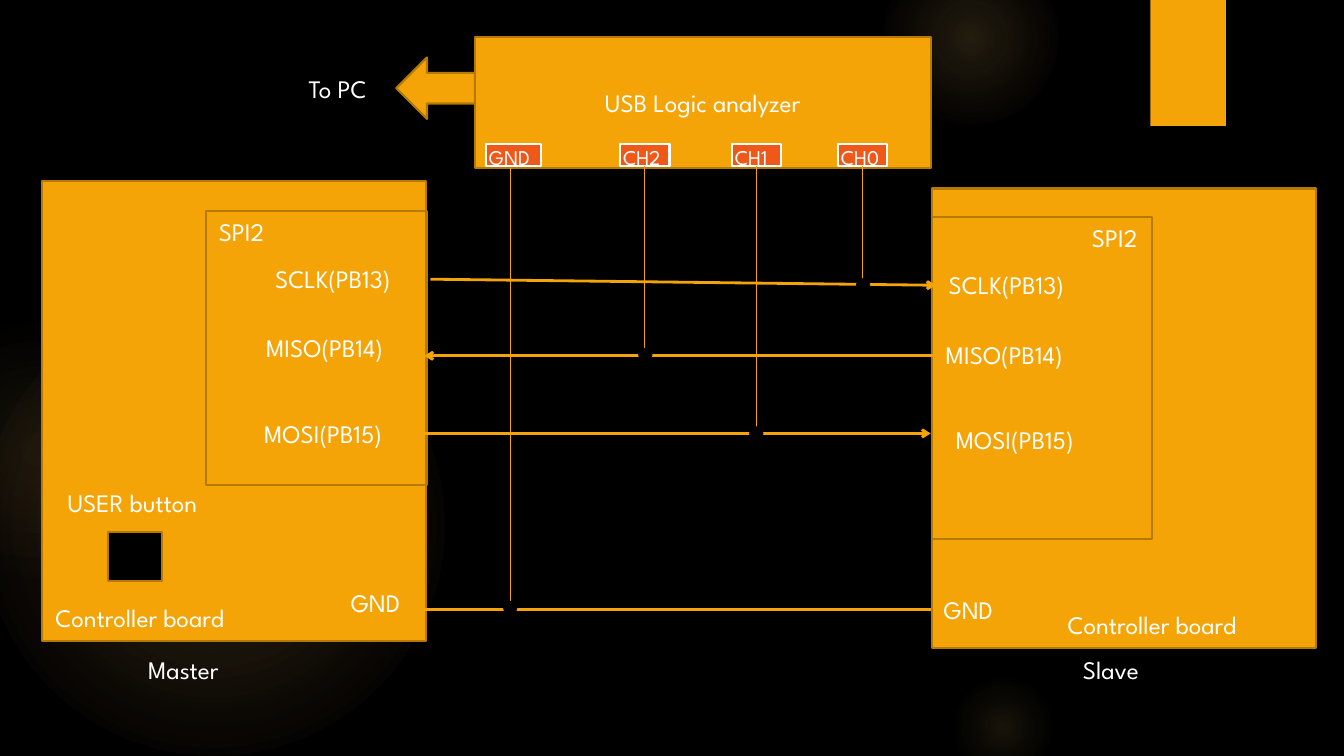
from lxml import etree
from pptx import Presentation
from pptx.dml.color import RGBColor
from pptx.enum import shapes, text
from pptx.oxml import ns
from pptx.util import Inches, Pt

AMBER = RGBColor(0xF5, 0xA4, 0x08)
BROWN = RGBColor(0xB5, 0x79, 0x06)
ORANGE = RGBColor(0xEE, 0x58, 0x18)
WHITE = RGBColor(0xFF, 0xFF, 0xFF)
BLACK = RGBColor(0, 0, 0)
FONT = "League Spartan"
RECT = shapes.MSO_SHAPE.RECTANGLE
OVAL = shapes.MSO_SHAPE.OVAL

# left, top, diameter, (position %, colour, opacity %)
GLOWS = [
    (-0.17, 2.92, 4.58, [(0, "FAC96A", 11), (36, "FAC96A", 10), (75, "FAC96A", 0)]),
    (-0.92, 3.17, 2.58, [(0, "FAC96A", 8), (36, "FAC96A", 5), (71, "F59B74", 0)]),
    (9.41, 1.83, 3.08, [(0, "FAC96A", 7), (36, "FAC96A", 6), (69, "FAC96A", 0)]),
    (8.75, -0.5, 1.75, [(0, "FAC96A", 14), (36, "FAC96A", 7), (73, "FAC96A", 0)]),
    (9.41, 6.67, 1.08, [(0, "FAC96A", 10), (31, "FAC96A", 5), (66, "FAC96A", 0)]),
]
CORNER_TAB = (11.41, 0, 0.75, 1.25)
BOARDS = [  # board, then the SPI2 block on it
    (0.42, 1.8, 3.81, 4.56), (2.04, 2.09, 2.19, 2.72),
    (9.24, 1.87, 3.81, 4.56), (9.24, 2.15, 2.19, 3.2),
]
USER_BUTTON = (1.07, 5.28, 0.54, 0.48)
ANALYZER = (4.71, 0.37, 4.52, 1.3)
PC_ARROW = (3.93, 0.57, 0.78, 0.61)
WIRES = [  # x1, y1, x2, y2, has arrowhead
    (4.21, 6.05, 9.23, 6.05, False),
    (4.21, 4.3, 9.23, 4.3, True),
    (4.27, 2.77, 9.28, 2.83, True),
    (9.25, 3.53, 4.21, 3.53, True),
]
PROBES = [  # label, terminal left, terminal width, lead x, tapped wire y
    ("CH0", 8.31, 0.49, 8.56, 2.83),
    ("CH1", 7.26, 0.49, 7.5, 4.3),
    ("CH2", 6.15, 0.49, 6.4, 3.52),
    ("GND", 4.82, 0.55, 5.06, 6.03),
]
TERMINAL_TOP, TERMINAL_HEIGHT, DOT = 1.43, 0.22, 0.12
LABELS = [  # text, left, top, width
    ("SPI2", 2.04, 2.08, 0.76), ("SPI2", 10.7, 2.14, 0.76),
    ("SCLK(PB13)", 2.6, 2.54, 1.67), ("SCLK(PB13)", 9.28, 2.6, 1.67),
    ("MISO(PB14)", 2.51, 3.23, 1.71), ("MISO(PB14)", 9.25, 3.3, 1.71),
    ("MOSI(PB15)", 2.49, 4.08, 1.71), ("MOSI(PB15)", 9.35, 4.14, 1.71),
    ("GND", 3.35, 5.76, 0.89), ("GND", 9.23, 5.83, 0.89),
    ("Controller board", 0.42, 5.91, 2.59),
    ("Controller board", 10.46, 5.97, 2.59),
    ("USER button", 0.54, 4.76, 1.79),
    ("Master", 1.34, 6.42, 1.13), ("Slave", 10.61, 6.42, 0.95),
    ("To PC", 2.93, 0.66, 0.99),
]


def add_block(s, kind, box, fill=AMBER, line=BROWN):
    sp = s.shapes.add_shape(kind, *map(Inches, box))
    sp.shadow.inherit = False
    sp.fill.solid()
    sp.fill.fore_color.rgb = fill
    if line is None:
        sp.line.fill.background()
    else:
        sp.line.color.rgb = line
        sp.line.width = Pt(1.5)
    return sp


def add_glow(s, left, top, size, stops):
    """Add a circle whose radial gradient fades to transparent."""
    sp = add_block(s, OVAL, (left, top, size, size), line=None)
    grad = etree.Element(ns.qn("a:gradFill"), rotWithShape="1")
    gs_list = etree.SubElement(grad, ns.qn("a:gsLst"))
    for pos, color, alpha in stops:
        gs = etree.SubElement(gs_list, ns.qn("a:gs"), pos=str(pos * 1000))
        clr = etree.SubElement(gs, ns.qn("a:srgbClr"), val=color)
        etree.SubElement(clr, ns.qn("a:alpha"), val=str(alpha * 1000))
    radial = etree.SubElement(grad, ns.qn("a:path"), {"path": "circle"})
    etree.SubElement(radial, ns.qn("a:fillToRect"), l="50000", t="50000", r="50000", b="50000")
    spPr = sp._element.spPr
    spPr.replace(spPr.find(ns.qn("a:solidFill")), grad)


def add_wire(s, x1, y1, x2, y2, width, arrow=False):
    c = s.shapes.add_connector(shapes.MSO_CONNECTOR.STRAIGHT, *map(Inches, (x1, y1, x2, y2)))
    c.line.color.rgb = AMBER
    c.line.width = Pt(width)
    if arrow:
        etree.SubElement(c.line._get_or_add_ln(), ns.qn("a:tailEnd"), type="arrow")
    etree.SubElement(c._element.spPr, ns.qn("a:effectLst"))
    return c


def set_text(sp, words, size):
    tf = sp.text_frame
    tf.text = words
    tf.margin_left = tf.margin_right = Inches(0.13)
    tf.margin_top = tf.margin_bottom = Inches(0.07)
    font = tf.paragraphs[0].runs[0].font
    font.name, font.size, font.color.rgb = FONT, Pt(size), WHITE
    return tf


def add_label(s, words, left, top, width, height=0.45, size=18):
    sp = s.shapes.add_textbox(*map(Inches, (left, top, width, height)))
    tf = set_text(sp, words, size)
    tf.word_wrap = False
    tf.auto_size = text.MSO_AUTO_SIZE.SHAPE_TO_FIT_TEXT


def add_probe(s, words, left, width, x, y):
    """Add a terminal, its lead and the dot where the lead taps a wire."""
    terminal = add_block(s, RECT, (left, TERMINAL_TOP, width, TERMINAL_HEIGHT), ORANGE, WHITE)
    lead = add_wire(s, x, ANALYZER[1] + ANALYZER[3], x, y, 0.75)
    if abs(left + width / 2 - x) < 0.01:
        lead.begin_connect(terminal, 2)
        lead.end_x = lead.begin_x
    add_block(s, OVAL, (x - DOT / 2, y - DOT / 2, DOT, DOT), BLACK, BLACK)
    add_label(s, words, left - 0.1, TERMINAL_TOP - 0.07, width + 0.21, 0.39, 15)


def main():
    prs = Presentation()
    prs.slide_width, prs.slide_height = Inches(13.33), Inches(7.5)
    s = prs.slides.add_slide(prs.slide_layouts[6])
    s.background.fill.solid()
    s.background.fill.fore_color.rgb = BLACK

    for glow in GLOWS:
        add_glow(s, *glow)
    add_block(s, RECT, CORNER_TAB, line=None)
    for box in BOARDS:
        add_block(s, RECT, box)
    add_block(s, RECT, USER_BUTTON, BLACK)
    for x1, y1, x2, y2, arrow in WIRES:
        add_wire(s, x1, y1, x2, y2, 2, arrow)

    tf = set_text(add_block(s, RECT, ANALYZER), "USB Logic analyzer", 18)
    tf.vertical_anchor = text.MSO_ANCHOR.MIDDLE
    tf.paragraphs[0].alignment = text.PP_ALIGN.CENTER
    add_block(s, shapes.MSO_SHAPE.LEFT_ARROW, PC_ARROW)
    for probe in PROBES:
        add_probe(s, *probe)
    for label in LABELS:
        add_label(s, *label)
    prs.save("out.pptx")


if __name__ == "__main__":
    main()
